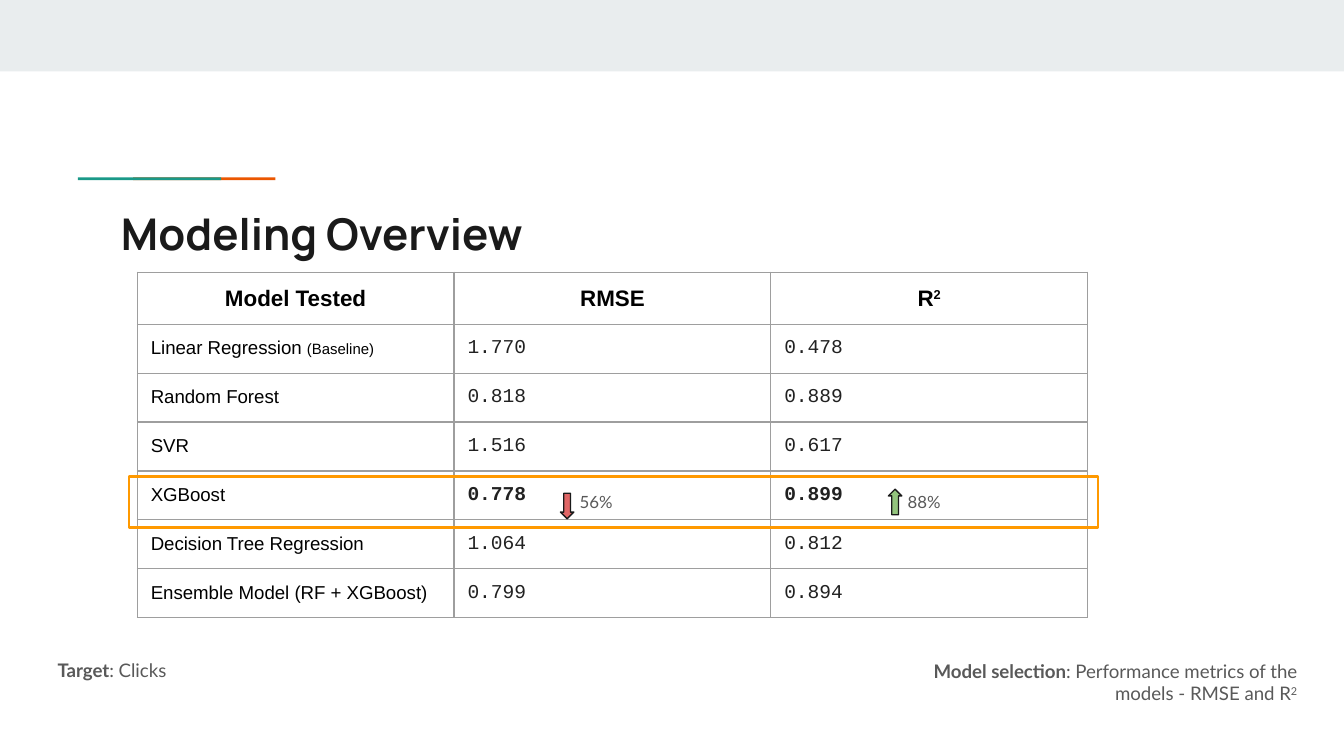
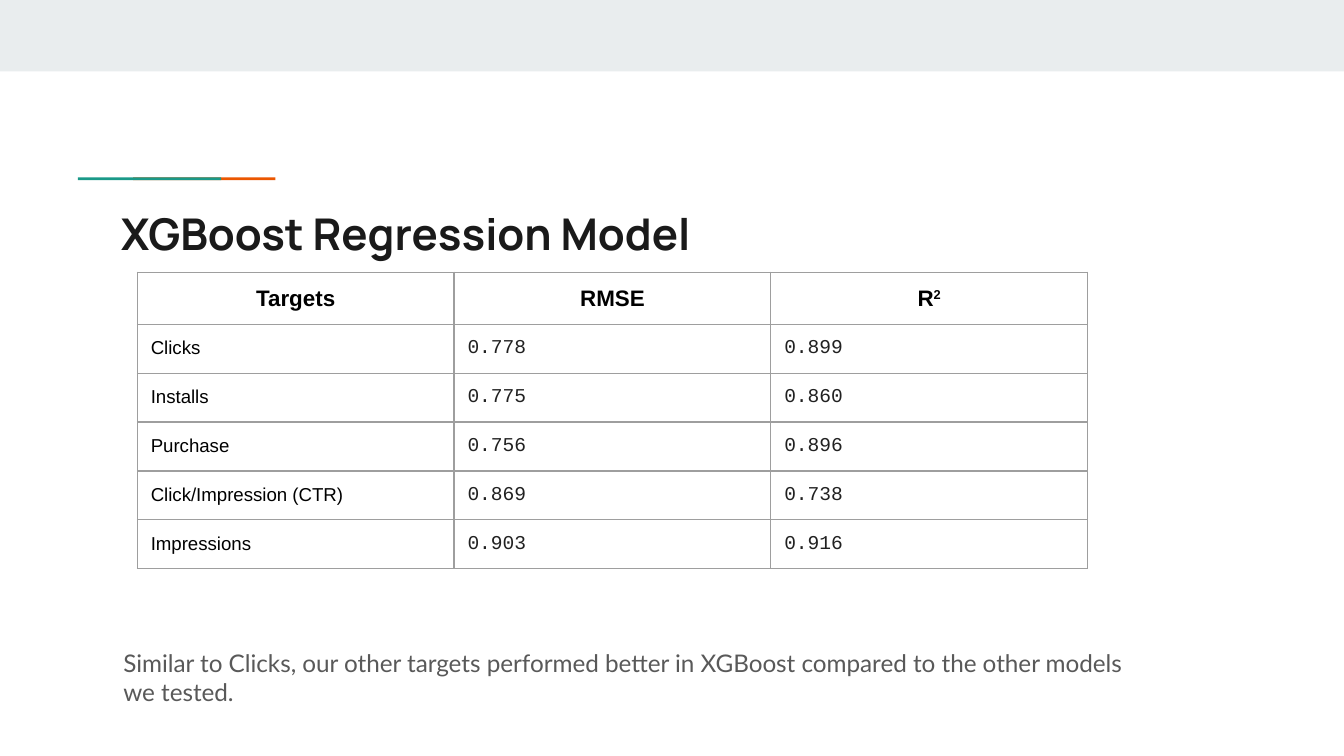
from collections import namedtuple

from lxml import etree
from pptx import Presentation
from pptx import util as u
from pptx.dml.color import RGBColor
from pptx.enum import shapes, text
from pptx.oxml import ns

GRID = u.Inches(0.1)
COLUMNS, ROWS = 100, 56.25

WHITE = RGBColor(0xFF, 0xFF, 0xFF)
BAND = RGBColor(0xE9, 0xED, 0xEE)
TEAL = RGBColor(0x1A, 0x99, 0x88)
ORANGE = RGBColor(0xEB, 0x56, 0x00)
AMBER = RGBColor(0xFF, 0x99, 0x00)
RED = RGBColor(0xE0, 0x66, 0x66)
GREEN = RGBColor(0x93, 0xC4, 0x7D)
INK = RGBColor(0x1A, 0x1A, 0x1A)
BLACK = RGBColor(0x00, 0x00, 0x00)
FIGURE = RGBColor(0x21, 0x21, 0x21)
GREY = RGBColor(0x59, 0x59, 0x59)
BORDER = RGBColor(0x9E, 0x9E, 0x9E)

Style = namedtuple("Style", "face size color bold", defaults=(False,))
Span = namedtuple("Span", "words bold size raised", defaults=(None, None, False))

TITLE = Style("Manrope", 23.4, INK, True)
HEADER = Style("Arial", 12, BLACK, True)
LABEL = Style("Arial", 10, BLACK)
VALUE = Style("Courier New", 10.5, FIGURE)
NOTE = Style("Lato", 10, GREY)
CHANGE = Style("Lato", 9, GREY)
SUMMARY = Style("Lato", 13, GREY)

LEFT, CENTER, RIGHT = text.PP_ALIGN.LEFT, text.PP_ALIGN.CENTER, text.PP_ALIGN.RIGHT
SQUARED = Span("2", raised=True)
TABLE_LEFT, TABLE_TOP, TABLE_COLUMN = 10.22, 20.26, 23.57
HEADER_ROW, BODY_ROW = 3.8, 3.6


def cells(*lengths):
    return [int(length * GRID) for length in lengths]


def write(para, spans, style, align=LEFT):
    para.alignment = align
    font = para.font
    font.name, font.size, font.bold = style.face, u.Pt(style.size), style.bold
    font.color.rgb = style.color
    for item in spans:
        item = Span(item) if isinstance(item, str) else item
        span = para.add_run()
        span.text = item.words
        if item.bold is not None:
            span.font.bold = item.bold
        if item.size:
            span.font.size = u.Pt(item.size)
        if item.raised:
            span._r.get_or_add_rPr().set("baseline", "30000")


def set_margins(holder):
    holder.margin_left = holder.margin_right = GRID
    holder.margin_top = holder.margin_bottom = GRID


def add_text(page, area, spans, style, align=LEFT, anchor=text.MSO_ANCHOR.TOP):
    frame = page.shapes.add_textbox(*cells(*area)).text_frame
    frame.word_wrap = True
    frame.vertical_anchor = anchor
    set_margins(frame)
    write(frame.paragraphs[0], spans, style, align)


def add_box(page, kind, area, fill=None, line=None, weight=0.75):
    box = page.shapes.add_shape(kind, *cells(*area))
    box.shadow.inherit = False
    if fill is None:
        box.fill.background()
    else:
        box.fill.solid()
        box.fill.fore_color.rgb = fill
    if line is None:
        box.line.fill.background()
    else:
        box.line.color.rgb = line
        box.line.width = u.Pt(weight)
    return box


def decorate_layout(layout, page):
    rectangle = shapes.MSO_SHAPE.RECTANGLE
    parts = [((0, 0, COLUMNS, 5.32), BAND),
             ((9.9, 13.2, 10.6, 0.2), ORANGE),
             ((5.8, 13.2, 10.65, 0.2), TEAL)]
    for area, color in parts:
        layout.shapes.element.append(add_box(page, rectangle, area, color).element)
    layout.background.fill.solid()
    layout.background.fill.fore_color.rgb = WHITE


def set_title(page, words):
    title = page.shapes.title
    title.left, title.top, title.width, title.height = cells(8, 14.4, 84.1, 5.9)
    frame = title.text_frame
    frame.auto_size = text.MSO_AUTO_SIZE.NONE
    frame.vertical_anchor = text.MSO_ANCHOR.TOP
    set_margins(frame)
    write(frame.paragraphs[0], [words], TITLE)


def outline_cell(cell):
    properties = cell._tc.get_or_add_tcPr()
    for index, side in enumerate(("lnL", "lnR", "lnT", "lnB")):
        line = etree.Element(ns.qn("a:" + side), w=str(u.Pt(0.75)))
        fill = etree.SubElement(line, ns.qn("a:solidFill"))
        etree.SubElement(fill, ns.qn("a:srgbClr"), val=str(BORDER))
        properties.insert(index, line)


def fill_cell(cell, spans, style, align=LEFT):
    set_margins(cell)
    cell.fill.background()
    outline_cell(cell)
    write(cell.text_frame.paragraphs[0], spans, style, align)


def add_scores(page, heading, scores, best=None):
    height = HEADER_ROW + len(scores) * BODY_ROW
    area = cells(TABLE_LEFT, TABLE_TOP, 3 * TABLE_COLUMN, height)
    table = page.shapes.add_table(len(scores) + 1, 3, *area).table
    table.first_row = table.horz_banding = False
    for index, row in enumerate(table.rows):
        row.height = cells(BODY_ROW if index else HEADER_ROW)[0]
    for column, spans in enumerate(([heading], ["RMSE"], ["R", SQUARED])):
        fill_cell(table.cell(0, column), spans, HEADER, CENTER)
    for row, (name, *values) in enumerate(scores, 1):
        fill_cell(table.cell(row, 0), name if isinstance(name, list) else [name], LABEL)
        style = VALUE._replace(bold=name == best)
        for column, value in enumerate(values, 1):
            fill_cell(table.cell(row, column), [value], style)


def add_change(page, left, arrow_top, words, color, turn=0):
    add_text(page, (left + 0.45, 36.15, 5.6, 2.4), [words], CHANGE,
             anchor=text.MSO_ANCHOR.MIDDLE)
    arrow = add_box(page, shapes.MSO_SHAPE.DOWN_ARROW, (left, arrow_top, 1, 1.9), color, INK)
    arrow.rotation = turn


def build_overview(page):
    set_title(page, "Modeling Overview")
    add_scores(page, "Model Tested", [
        (["Linear Regression ", Span("(Baseline)", size=8)], "1.770", "0.478"),
        ("Random Forest", "0.818", "0.889"),
        ("SVR", "1.516", "0.617"),
        ("XGBoost", "0.778", "0.899"),
        ("Decision Tree Regression", "1.064", "0.812"),
        ("Ensemble Model (RF + XGBoost)", "0.799", "0.894"),
    ], best="XGBoost")
    add_text(page, (66.5, 48.1, 31, 10),
             [Span("Model selection", bold=True),
              ": Performance metrics of the models - RMSE and R", SQUARED], NOTE, RIGHT)
    add_text(page, (3.3, 48.15, 31, 10), [Span("Target", bold=True), ": Clicks"], NOTE)
    add_box(page, shapes.MSO_SHAPE.RECTANGLE, (9.6, 35.45, 72.1, 3.8), line=AMBER, weight=1.5)
    add_change(page, 41.7, 36.7, "56%", RED)
    add_change(page, 66.1, 36.4, "88%", GREEN, turn=180)


def build_targets(page):
    set_title(page, "XGBoost Regression Model")
    add_scores(page, "Targets", [
        ("Clicks", "0.778", "0.899"),
        ("Installs", "0.775", "0.860"),
        ("Purchase", "0.756", "0.896"),
        ("Click/Impression (CTR)", "0.869", "0.738"),
        ("Impressions", "0.903", "0.916"),
    ])
    add_text(page, (8.2, 47.25, 77.4, 5.5),
             ["Similar to Clicks, our other targets performed better in XGBoost "
              "compared to the other models we tested."], SUMMARY)


def main():
    deck = Presentation()
    deck.slide_width, deck.slide_height = cells(COLUMNS, ROWS)
    layout = deck.slide_layouts.get_by_name("Title Only")
    overview, targets = [deck.slides.add_slide(layout) for _ in range(2)]
    decorate_layout(layout, overview)
    build_overview(overview)
    build_targets(targets)
    deck.save("out.pptx")


if __name__ == "__main__":
    main()
